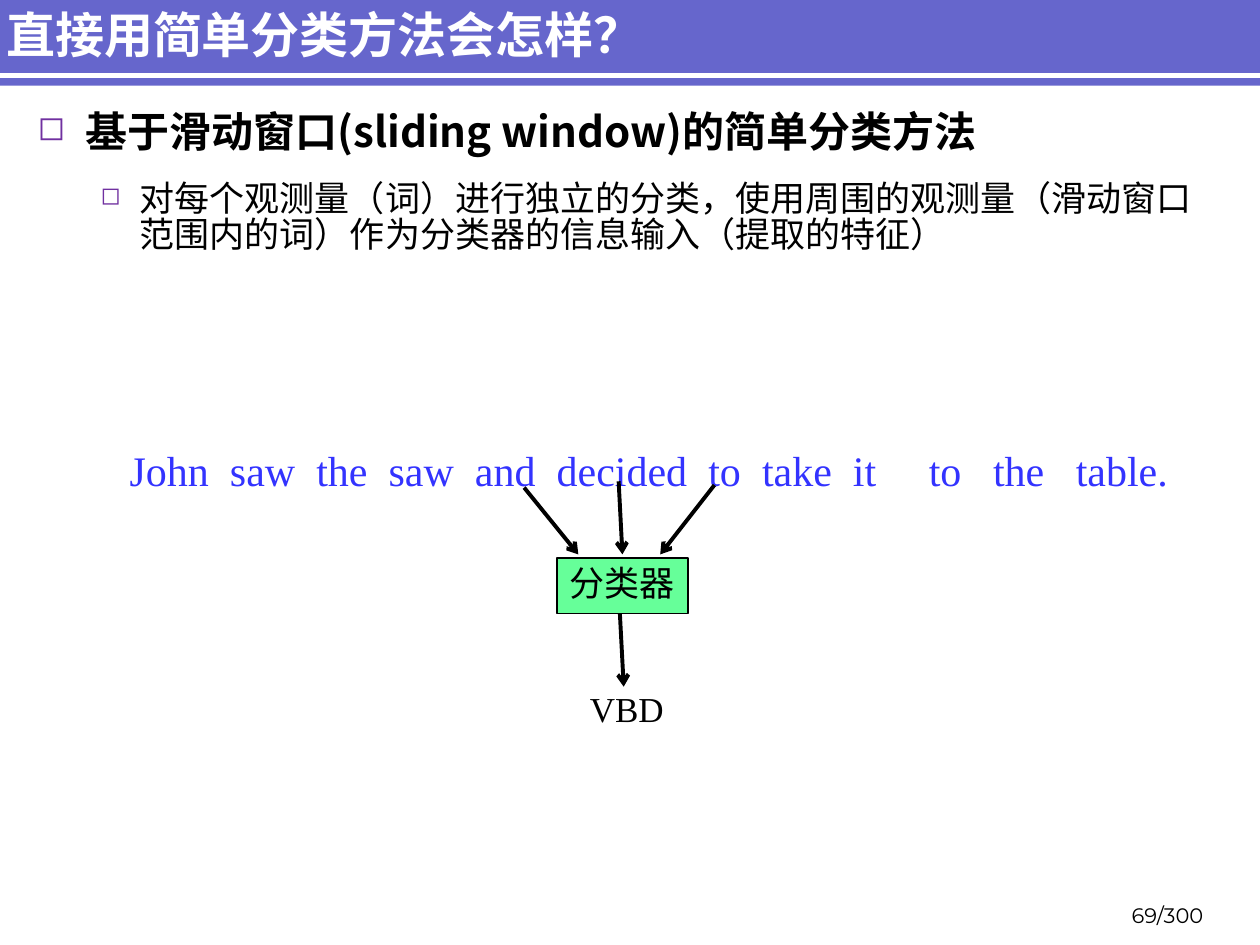
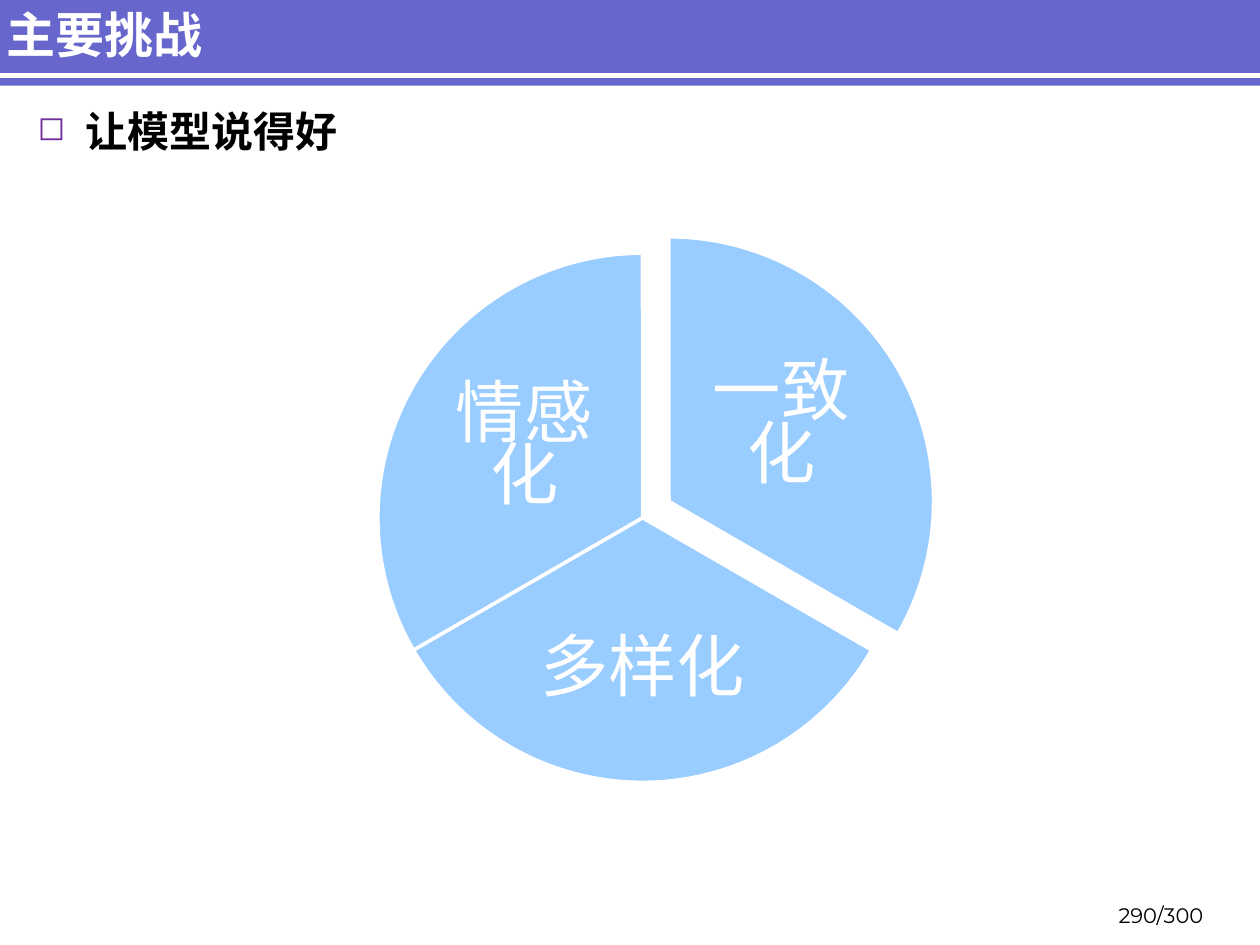
from dataclasses import dataclass

from lxml import etree
from pptx import Presentation
from pptx.dml.color import RGBColor
from pptx.enum.shapes import MSO_CONNECTOR, MSO_SHAPE
from pptx.enum.text import MSO_ANCHOR, MSO_AUTO_SIZE, PP_ALIGN
from pptx.oxml.ns import qn
from pptx.util import Emu, Pt

RECT, PIE, STRAIGHT = MSO_SHAPE.RECTANGLE, MSO_SHAPE.PIE, MSO_CONNECTOR.STRAIGHT
TOP, MIDDLE, BOTTOM = MSO_ANCHOR.TOP, MSO_ANCHOR.MIDDLE, MSO_ANCHOR.BOTTOM
LEFT, CENTER, RIGHT = PP_ALIGN.LEFT, PP_ALIGN.CENTER, PP_ALIGN.RIGHT
NO_FIT = MSO_AUTO_SIZE.NONE

EMU_PER_PX = 9144  # 100 px to the inch
SLIDE_W, SLIDE_H = 1000, 750
TITLE_ONLY = 5
PAGE_COUNT = 300

COLORS = {
    "band": "6666CC",
    "white": "FFFFFF",
    "black": "000000",
    "bullet": "7030A0",
    "sentence": "3333FF",
    "classifier": "66FF99",
    "slice": "99CCFF",
}
CJK, SERIF, SANS, PAGE_FONT = "Noto Sans CJK SC", "Times New Roman", "Arial", "Montserrat"
CJK_SPACING = 0.84  # Noto Sans CJK has tall lines


@dataclass(frozen=True)
class Box:
    x: int
    y: int
    w: int
    h: int

    def emu(self) -> tuple:
        return px(self.x), px(self.y), px(self.w), px(self.h)


@dataclass(frozen=True)
class Style:
    size: int
    color: str
    font: str = CJK
    bold: bool = False
    align: PP_ALIGN = LEFT
    spacing: float = CJK_SPACING


@dataclass(frozen=True)
class BulletLevel:
    style: Style
    margin: int
    hanging: int
    before: int
    after: int
    bullet_percent: int


@dataclass(frozen=True)
class Arrow:
    x1: int
    y1: int
    x2: int
    y2: int


@dataclass(frozen=True)
class Slice:
    label: str
    pie: Box
    label_box: Box
    start: int
    end: int


TITLE = Style(28, "white", bold=True)
SENTENCE = Style(24, "sentence", SERIF, spacing=1.0)
CLASSIFIER = Style(20, "black", align=CENTER)
TAG = Style(20, "black", SERIF, align=CENTER, spacing=1.0)
PAGE = Style(12, "black", PAGE_FONT, align=RIGHT, spacing=1.0)
SLICE_LABEL = Style(39, "white", SANS, align=CENTER, spacing=0.76)
LEVELS = (
    BulletLevel(Style(24, "black", bold=True), 38, 38, 5, 12, 80),
    BulletLevel(Style(20, "black"), 81, 31, 4, 6, 70),
)

WORDS = "John saw the saw and decided to take it to the table.".split()
WIDE_GAPS = {8: 5, 9: 3, 10: 3}  # word index -> following gap in space widths
ARROWS = (
    Arrow(416, 387, 459, 440),
    Arrow(567, 385, 524, 440),
    Arrow(491, 382, 494, 440),
    Arrow(492, 487, 495, 545),
)
PIE_BOX = Box(300, 201, 420, 420)
SLICES = (
    Slice("一致化", Box(321, 188, 420, 420), Box(549, 270, 142, 140), 270, 30),
    Slice("多样化", PIE_BOX, Box(415, 469, 190, 130), 30, 150),
    Slice("情感化", PIE_BOX, Box(345, 287, 142, 140), 150, 270),
)


def px(n: int) -> Emu:
    return Emu(n * EMU_PER_PX)


def rgb(name: str) -> RGBColor:
    return RGBColor.from_string(COLORS[name])


def add_run(p, text: str, style: Style):
    r = p.add_run()
    r.text = text
    r.font.size, r.font.bold = Pt(style.size), style.bold
    r.font.color.rgb = rgb(style.color)
    r.font.name = style.font
    ea = etree.SubElement(r.font._element, qn("a:ea"))
    ea.set("typeface", CJK)
    return r


def format_paragraph(p, style: Style) -> None:
    p.alignment = style.align
    p.line_spacing = style.spacing


def format_frame(tf, anchor: MSO_ANCHOR, inset_x: int, inset_y: int, wrap: bool) -> None:
    tf.auto_size, tf.word_wrap, tf.vertical_anchor = NO_FIT, wrap, anchor
    tf.margin_left = tf.margin_right = px(inset_x)
    tf.margin_top = tf.margin_bottom = px(inset_y)


def add_text(slide, box: Box, text: str, style: Style, anchor=TOP, inset=10, wrap=False):
    """Add a one-paragraph text box and return its paragraph."""
    tf = slide.shapes.add_textbox(*box.emu()).text_frame
    format_frame(tf, anchor, inset, 5, wrap)
    p = tf.paragraphs[0]
    format_paragraph(p, style)
    if text:
        add_run(p, text, style)
    return p


def add_filled(slide, kind: MSO_SHAPE, box: Box, fill: str, line: str = "", width: int = 0):
    sp = slide.shapes.add_shape(kind, *box.emu())
    sp.shadow.inherit = False
    sp.fill.solid()
    sp.fill.fore_color.rgb = rgb(fill)
    if line:
        sp.line.color.rgb = rgb(line)
        sp.line.width = Pt(width)
    else:
        sp.line.fill.background()
    return sp


def add_line(slide, a: Arrow, color: str, width: float, head: bool = False):
    cxn = slide.shapes.add_connector(STRAIGHT, px(a.x1), px(a.y1), px(a.x2), px(a.y2))
    cxn.line.color.rgb = rgb(color)
    cxn.line.width = Pt(width)
    if head:
        etree.SubElement(cxn.line._get_or_add_ln(), qn("a:tailEnd")).set("type", "arrow")
    etree.SubElement(cxn.element.spPr, qn("a:effectLst"))
    return cxn


def add_bullet(p, level: BulletLevel) -> None:
    pPr = p._p.get_or_add_pPr()
    pPr.set("marL", str(px(level.margin)))
    pPr.set("indent", str(-px(level.hanging)))
    clr = etree.SubElement(pPr, qn("a:buClr"))
    etree.SubElement(clr, qn("a:srgbClr")).set("val", COLORS["bullet"])
    etree.SubElement(pPr, qn("a:buSzPct")).set("val", str(level.bullet_percent * 1000))
    etree.SubElement(pPr, qn("a:buChar")).set("char", "◻")


def add_outline(slide, lines: tuple) -> None:
    """Write one bulleted paragraph per line, each a level deeper."""
    tf = slide.shapes.add_textbox(*Box(20, 85, 945, 613).emu()).text_frame
    format_frame(tf, TOP, 10, 5, True)
    for i, (text, level) in enumerate(zip(lines, LEVELS)):
        p = tf.add_paragraph() if i else tf.paragraphs[0]
        p.level = i
        format_paragraph(p, level.style)
        p.space_before = Pt(level.before if i else 0)
        p.space_after = Pt(level.after)
        add_bullet(p, level)
        add_run(p, text, level.style)


def add_base_slide(prs, title: str, page: int, lines: tuple):
    """Add a slide with the band, title, outline and page number."""
    slide = prs.slides.add_slide(prs.slide_layouts[TITLE_ONLY])
    sp = slide.shapes.title
    band = add_filled(slide, RECT, Box(0, 0, SLIDE_W, 68), "band")
    rule = add_line(slide, Arrow(0, 60, SLIDE_W, 60), "white", 3)
    for backdrop in (band, rule):
        sp.element.addprevious(backdrop.element)
    sp.left, sp.top, sp.width, sp.height = Box(0, 7, 873, 47).emu()
    format_frame(sp.text_frame, MIDDLE, 5, 0, True)
    p = sp.text_frame.paragraphs[0]
    format_paragraph(p, TITLE)
    add_run(p, title, TITLE)
    add_outline(slide, lines)
    add_text(slide, Box(861, 706, 104, 35), f"{page}/{PAGE_COUNT}", PAGE, BOTTOM, wrap=True)
    return slide


def add_sentence(slide) -> None:
    """Write the words with gaps set by character spacing on single spaces."""
    p = add_text(slide, Box(93, 348, 851, 51), "", SENTENCE)
    space_width = SENTENCE.size / 4
    for i, word in enumerate(WORDS):
        add_run(p, word, SENTENCE)
        if i < len(WORDS) - 1:
            extra = (WIDE_GAPS.get(i, 2) - 1) * space_width
            gap = add_run(p, " ", SENTENCE)
            gap.font._element.set("spc", str(round(extra * 100)))


def build_sliding_window(prs) -> None:
    slide = add_base_slide(prs, "直接用简单分类方法会怎样？", 69, (
        "基于滑动窗口(sliding window)的简单分类方法",
        "对每个观测量（词）进行独立的分类，使用周围的观测量（滑动窗口范围内的词）"
        "作为分类器的信息输入（提取的特征）",
    ))
    add_sentence(slide)
    sp = add_filled(slide, RECT, Box(442, 443, 104, 44), "classifier", "black", 1)
    format_frame(sp.text_frame, MIDDLE, 10, 5, False)
    p = sp.text_frame.paragraphs[0]
    format_paragraph(p, CLASSIFIER)
    add_run(p, "分类器", CLASSIFIER)
    for arrow in ARROWS:
        add_line(slide, arrow, "black", 2.25, head=True)
    add_text(slide, Box(458, 541, 79, 43), "VBD", TAG)


def build_challenges(prs) -> None:
    slide = add_base_slide(prs, "主要挑战", 290, ("让模型说得好",))
    for item in SLICES:
        sp = add_filled(slide, PIE, item.pie, "slice", "white", 2)
        for i, degrees in enumerate((item.start, item.end)):
            sp.adjustments[i] = degrees * 0.6
        add_text(slide, item.label_box, item.label, SLICE_LABEL, MIDDLE, 5, True)


def main() -> None:
    prs = Presentation()
    prs.slide_width, prs.slide_height = px(SLIDE_W), px(SLIDE_H)
    build_sliding_window(prs)
    build_challenges(prs)
    prs.save("out.pptx")


if __name__ == "__main__":
    main()
